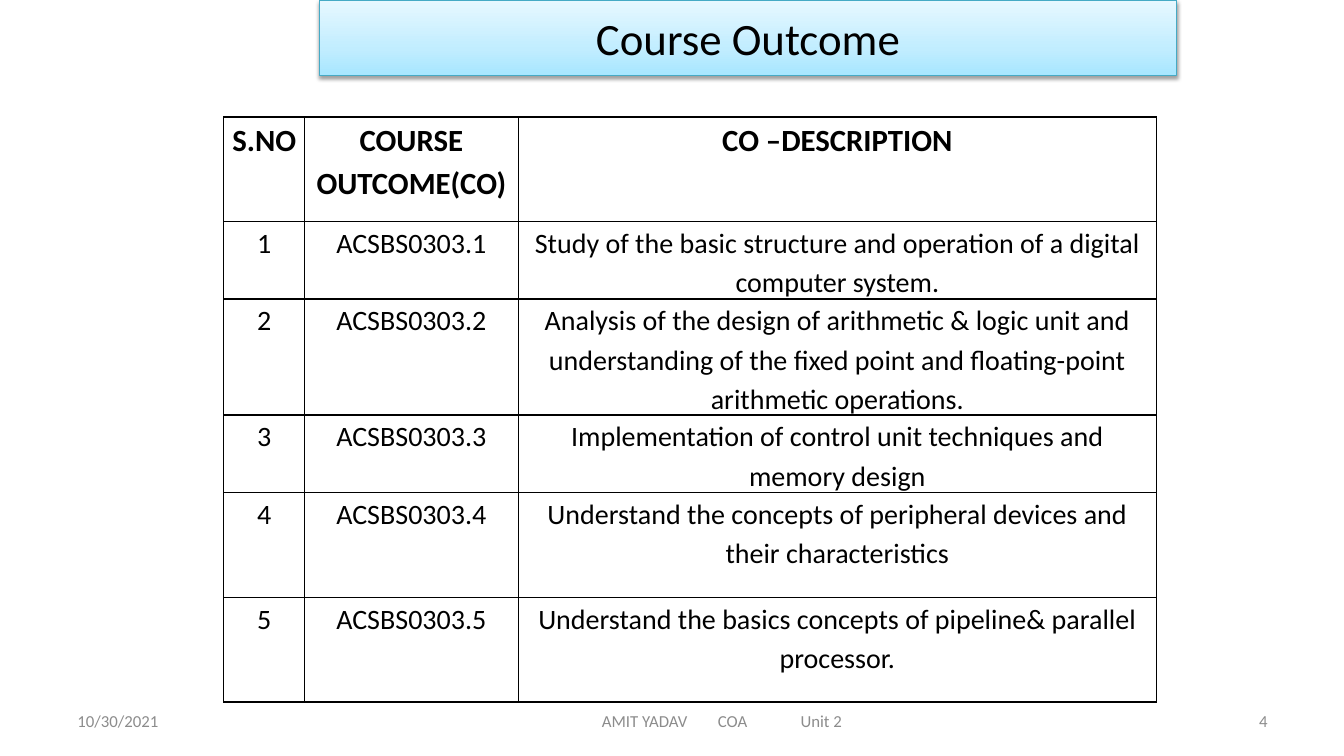
import pptx
import copy
import pptx.util
import pptx.dml.color
import pptx.enum.shapes
import pptx.enum.text
import pptx.oxml
import pptx.oxml.ns

Inches = pptx.util.Inches
Pt = pptx.util.Pt
Align = pptx.enum.text.PP_ALIGN
Anchor = pptx.enum.text.MSO_ANCHOR
qn = pptx.oxml.ns.qn
NS = pptx.oxml.ns.nsdecls("a")

COLORS = {
    "text": "000000",
    "foot": "8C8C8C",
    "edge": "46AAC5",
    "deep": "A7E6FF",
    "mid": "C1EDFF",
    "pale": "E7F8FF",
}
COLS = [0.8, 2.12, 6.33]
ROWS = [1.04, 0.69, 1.04, 0.69, 1.04, 1.04]
HEADS = ["S.NO", "COURSE OUTCOME(CO)", "CO –DESCRIPTION"]
GOALS = [
    "Study of the basic structure and operation of a digital computer system.",
    "Analysis of the design of arithmetic & logic unit and understanding of "
    "the fixed point and floating-point arithmetic operations.",
    "Implementation of control unit techniques and memory design",
    "Understand the concepts of peripheral devices and their characteristics",
    "Understand the basics concepts of pipeline& parallel processor.",
]


def rgb(name):
    return pptx.dml.color.RGBColor.from_string(COLORS[name])


def style(para, size, color, align, bold=False):
    para.alignment = align
    for run in para.runs:
        run.font.name = "Calibri"
        run.font.size = Pt(size)
        run.font.bold = bold
        run.font.color.rgb = rgb(color)


def add_foot(slide, left, width, text, align, inset=0.1, tabs=()):
    box = slide.shapes.add_textbox(
        Inches(left), Inches(6.95), Inches(width), Inches(0.4))
    frame = box.text_frame
    frame.word_wrap = True
    frame.vertical_anchor = Anchor.MIDDLE
    frame.margin_left = Inches(inset)
    frame.text = text
    para = frame.paragraphs[0]
    if tabs:
        stops = "".join(f'<a:tab pos="{Inches(t)}" algn="l"/>' for t in tabs)
        para._p.get_or_add_pPr().append(
            pptx.oxml.parse_xml(f"<a:tabLst {NS}>{stops}</a:tabLst>"))
    style(para, 12, "foot", align)


def add_title(slide, text):
    bar = slide.shapes.add_shape(
        pptx.enum.shapes.MSO_SHAPE.RECTANGLE,
        Inches(3.17), Inches(0), Inches(8.5), Inches(0.75))
    props = bar._element.spPr

    # Three-stop gradient, deepest at the bottom
    bar.fill.gradient()
    bar.fill.gradient_angle = 90
    stops = props.find(".//" + qn("a:gsLst"))
    stops.append(copy.deepcopy(stops[-1]))
    marks = [("deep", 0), ("mid", 0.35), ("pale", 1)]
    for stop, (name, place) in zip(bar.fill.gradient_stops, marks):
        stop.color.rgb = rgb(name)
        stop.position = place
    bar.line.color.rgb = rgb("edge")
    bar.line.width = Pt(0.75)

    # Soft shadow below
    bar.shadow.inherit = False
    props.find(qn("a:effectLst")).append(pptx.oxml.parse_xml(
        f'<a:outerShdw {NS} blurRad="{Pt(3.1)}" dist="{Pt(1.6)}" '
        'dir="5400000" rotWithShape="0"><a:srgbClr val="000000">'
        '<a:alpha val="38000"/></a:srgbClr></a:outerShdw>'))

    bar.text_frame.vertical_anchor = Anchor.MIDDLE
    bar.text_frame.text = text
    style(bar.text_frame.paragraphs[0], 32, "text", Align.CENTER)


def set_cell(cell, text, head):
    cell.margin_left = cell.margin_right = Inches(0.07)
    cell.margin_top = cell.margin_bottom = 0
    cell.text_frame.text = text
    para = cell.text_frame.paragraphs[0]
    para.line_spacing = 1.15
    para.space_after = Pt(10)
    style(para, 22 if head else 20, "text", Align.CENTER, head)
    props = cell._tc.get_or_add_tcPr()
    for side in "LRTB":
        props.append(pptx.oxml.parse_xml(
            f'<a:ln{side} {NS} w="{Pt(1)}"><a:solidFill>'
            f'<a:srgbClr val="{COLORS["text"]}"/></a:solidFill></a:ln{side}>'))
    cell.fill.background()


def add_grid(slide, data):
    table = slide.shapes.add_table(
        len(ROWS), len(COLS), Inches(2.22), Inches(1.16),
        Inches(sum(COLS)), Inches(sum(ROWS))).table
    table.horz_banding = False
    table.first_row = False
    for col, width in zip(table.columns, COLS):
        col.width = Inches(width)
    for row, height in zip(table.rows, ROWS):
        row.height = Inches(height)
    for r, line in enumerate(data):
        for c, text in enumerate(line):
            set_cell(table.cell(r, c), text, r == 0)


def main():
    deck = pptx.Presentation()
    deck.slide_width = Inches(13.33)
    deck.slide_height = Inches(7.5)
    slide = deck.slides.add_slide(deck.slide_layouts[6])

    # Footer
    add_foot(slide, 0.67, 3.11, "10/30/2021", Align.LEFT)
    add_foot(slide, 4.42, 5.5, "AMIT YADAV\tCOA\tUnit 2", Align.LEFT,
             inset=1.55, tabs=(1.15, 1.97))
    add_foot(slide, 9.56, 3.11, "4", Align.RIGHT)

    # Title and outcomes
    add_title(slide, "Course Outcome")
    rows = [[str(n), f"ACSBS0303.{n}", goal]
            for n, goal in enumerate(GOALS, 1)]
    add_grid(slide, [HEADS] + rows)

    deck.save("out.pptx")


if __name__ == "__main__":
    main()
